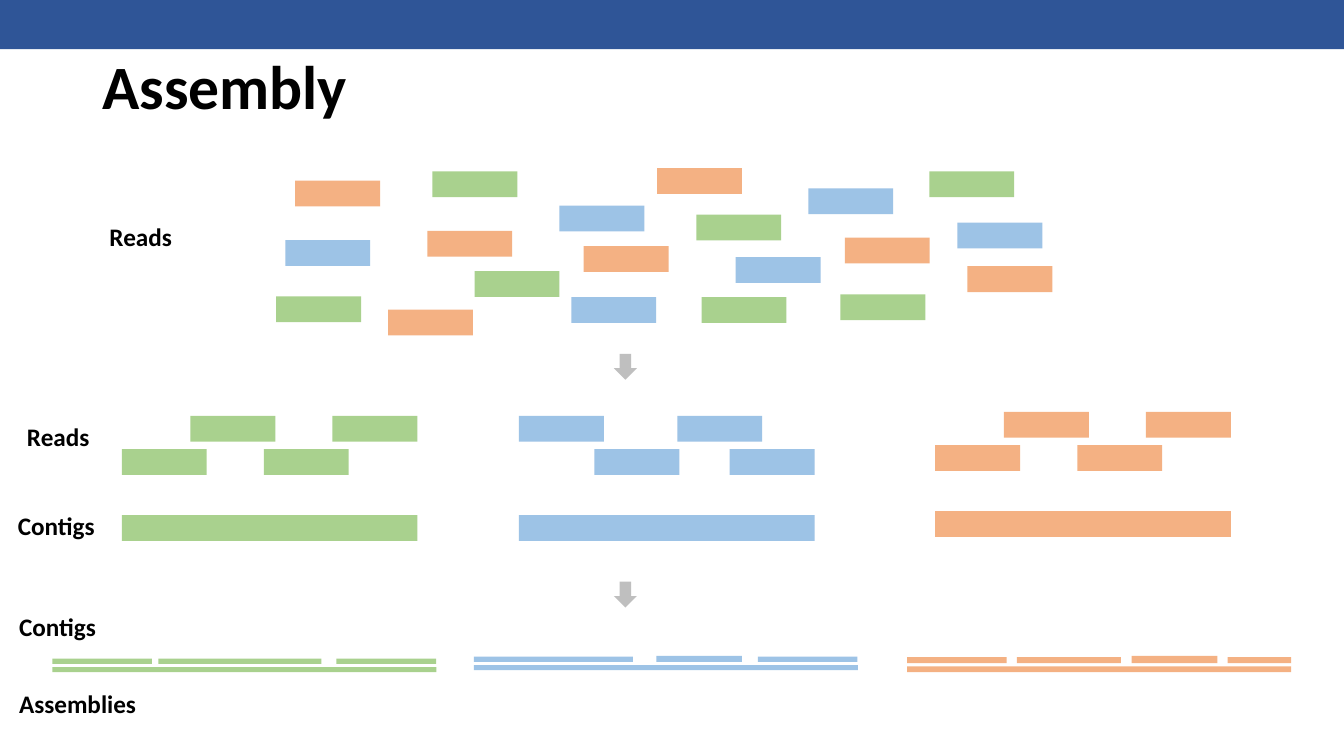
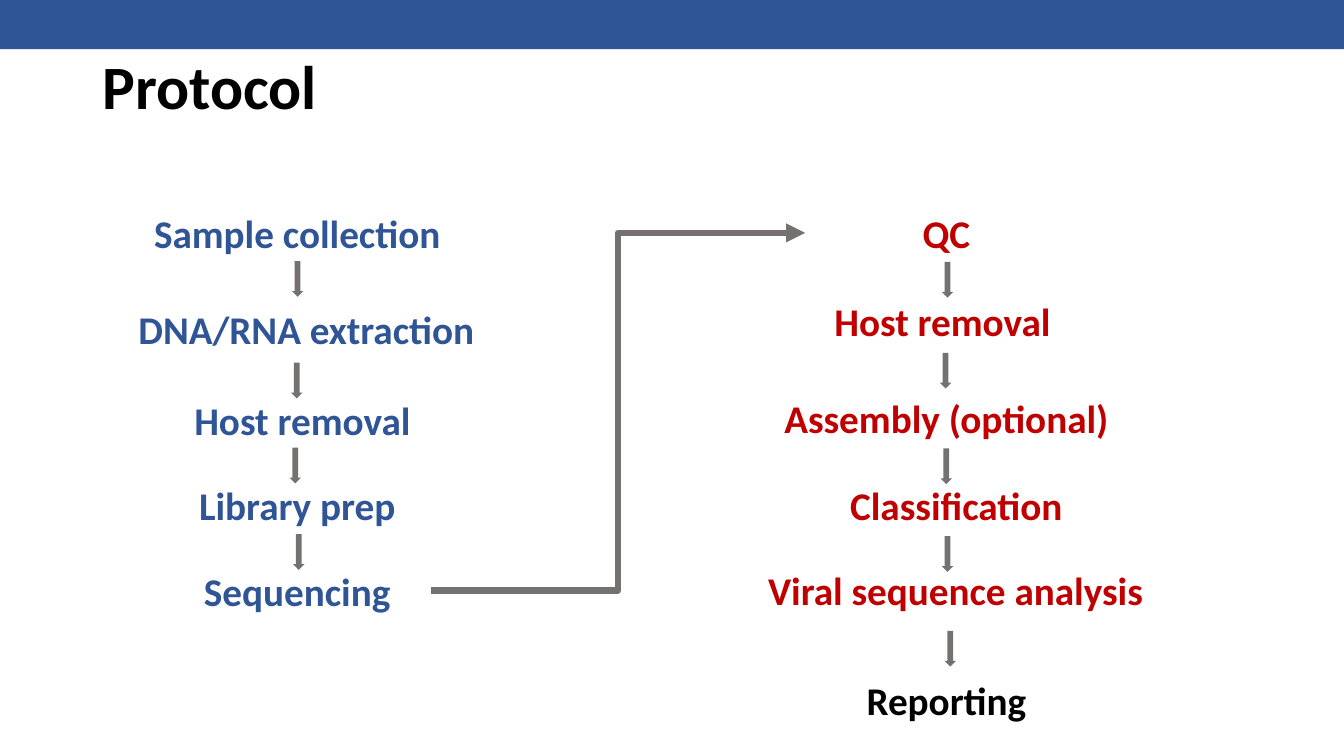
from pptx import Presentation
from pptx.dml.color import RGBColor
from pptx.enum.shapes import MSO_CONNECTOR, MSO_SHAPE
from pptx.enum.text import MSO_ANCHOR, PP_ALIGN
from pptx.oxml.ns import qn
from pptx.util import Cm, Pt
from lxml import etree

RECT, DOWN = MSO_SHAPE.RECTANGLE, MSO_SHAPE.DOWN_ARROW
ELBOW = MSO_CONNECTOR.ELBOW
LEFT, CENTER = PP_ALIGN.LEFT, PP_ALIGN.CENTER
TOP, MIDDLE = MSO_ANCHOR.TOP, MSO_ANCHOR.MIDDLE

# Shared style; all lengths are centimetres
FONT = "Calibri"
WIDE, HIGH = 33.87, 19.05
NAVY, RED, BLACK = "2F5597", "C00000", "000000"
ORANGE, BLUE, GREEN = "F4B183", "9DC3E6", "A9D18E"
SILVER, GRAY = "BFBFBF", "767171"

# Assembly: mixed reads as (left, top)
READ_W, READ_H = 2.14, 0.65
READS = {
    ORANGE: [(7.44, 4.55), (14.71, 6.2), (16.56, 4.24), (10.77, 5.82),
             (24.38, 6.71), (9.78, 7.8), (21.29, 5.99)],
    BLUE: [(7.19, 6.05), (14.1, 5.18), (18.54, 6.48), (20.37, 4.75),
           (24.13, 5.61), (14.4, 7.49)],
    GREEN: [(17.55, 5.41), (6.96, 7.47), (11.96, 6.83), (23.42, 4.32),
            (17.68, 7.49), (10.9, 4.32), (21.18, 7.42)],
}

# Sorted reads: colour, contig left and top, offsets of the reads above it
CONTIG_W = 7.45
UPPER, LOWER = -2.5, -1.66
STAIRS = [(0, LOWER), (1.73, UPPER), (3.58, LOWER), (5.31, UPPER)]
CONTIGS = [
    (GREEN, 3.07, 12.98, STAIRS),
    (ORANGE, 23.57, 12.88, STAIRS),
    (BLUE, 13.08, 12.98,
     [(0, UPPER), (1.9, LOWER), (3.99, UPPER), (5.31, LOWER)]),
]

# Assemblies: colour, left, top, height, contigs as (offset, width, height)
FULL_W, GAP = 9.68, 0.08
FULLS = [
    (GREEN, 1.32, 16.81, 0.13,
     [(0, 2.51, 0.13), (2.67, 4.11, 0.13), (7.16, 2.51, 0.13)]),
    (BLUE, 11.94, 16.76, 0.13,
     [(0, 4.01, 0.13), (4.6, 2.16, 0.15), (7.16, 2.51, 0.13)]),
    (ORANGE, 22.86, 16.79, 0.15,
     [(0, 2.51, 0.15), (2.77, 2.62, 0.15), (5.66, 2.16, 0.18),
      (8.08, 1.6, 0.15)]),
]
LABELS = [("Reads", 2.51, 5.44), ("Reads", 0.43, 10.49),
          ("Contigs", 0.2, 12.73), ("Contigs", 0.23, 15.27),
          ("Assemblies", 0.23, 17.22)]
STAGES = [8.92, 14.66]

# Protocol: steps as (text, centre, top, colour), arrows as (centre, top)
STEP_W, STEP_H = 10.87, 1.45
STEPS = [
    ("Sample collection", 7.49, 5.16, NAVY),
    ("DNA/RNA extraction", 7.72, 7.57, NAVY),
    ("Host removal", 7.62, 9.86, NAVY),
    ("Library prep", 7.49, 12.01, NAVY),
    ("Sequencing", 7.49, 14.17, NAVY),
    ("QC", 23.85, 5.16, RED),
    ("Host removal", 23.75, 7.37, RED),
    ("Assembly (optional)", 23.85, 9.8, RED),
    ("Classification", 24.1, 12.01, RED),
    ("Viral sequence analysis", 24.08, 14.15, RED),
    ("Reporting", 23.85, 16.92, BLACK),
]
ARROW_W, ARROW_H = 0.29, 0.9
ARROWS = [(7.5, 6.58), (7.48, 9.14), (7.44, 11.28), (7.53, 13.46),
          (23.88, 6.6), (23.83, 8.89), (23.85, 11.3), (23.88, 13.51),
          (23.95, 15.9)]
BEND = (10.85, 14.88, 20.29, 5.87)


def paint(code):
    return RGBColor.from_string(code)


def block(slide, x, y, w, h, color, kind=RECT):
    shape = slide.shapes.add_shape(kind, Cm(x), Cm(y), Cm(w), Cm(h))
    shape.shadow.inherit = False
    shape.fill.solid()
    shape.fill.fore_color.rgb = paint(color)
    shape.line.fill.background()


def write(slide, text, x, y, w, h, size, color=BLACK, align=LEFT, anchor=TOP):
    frame = slide.shapes.add_textbox(Cm(x), Cm(y), Cm(w), Cm(h)).text_frame
    frame.word_wrap = True
    frame.vertical_anchor = anchor
    para = frame.paragraphs[0]
    para.alignment = align
    run = para.add_run()
    run.text = text
    font = run.font
    font.name, font.size, font.bold = FONT, Pt(size), True
    font.color.rgb = paint(color)
    return para


def start(deck, title):
    slide = deck.slides.add_slide(deck.slide_layouts[6])
    block(slide, 0, 0, WIDE, 1.24, NAVY)
    para = write(slide, title, 2.33, 1.24, 29.21, 2.03, 44, anchor=MIDDLE)
    para.line_spacing = 0.9
    return slide


def link(slide, ends):
    line = slide.shapes.add_connector(ELBOW, *[Cm(v) for v in ends])
    line.line.color.rgb = paint(GRAY)
    line.line.width = Pt(4.5)
    props = line._element.spPr
    tail = etree.SubElement(props.find(qn("a:ln")), qn("a:tailEnd"))
    tail.set("type", "triangle")
    etree.SubElement(props, qn("a:effectLst"))


def assembly(deck):
    slide = start(deck, "Assembly")
    # Mixed reads
    for color, spots in READS.items():
        for x, y in spots:
            block(slide, x, y, READ_W, READ_H, color)
    # Sorted reads over their contig
    for color, x, y, reads in CONTIGS:
        block(slide, x, y, CONTIG_W, READ_H, color)
        for dx, dy in reads:
            block(slide, x + dx, y + dy, READ_W, READ_H, color)
    # Contigs over their assembly
    for color, x, y, h, parts in FULLS:
        block(slide, x, y, FULL_W, h, color)
        for dx, w, ph in parts:
            block(slide, x + dx, y - GAP - ph, w, ph, color)
    # Labels and stage arrows
    for text, x, y in LABELS:
        write(slide, text, x, y, 5.16, 1.03, 18)
    for y in STAGES:
        block(slide, 15.47, y, 0.58, 0.65, SILVER, DOWN)


def protocol(deck):
    slide = start(deck, "Protocol")
    for text, mid, y, color in STEPS:
        write(slide, text, mid - STEP_W / 2, y, STEP_W, STEP_H, 28, color,
              CENTER)
    for mid, y in ARROWS:
        block(slide, mid - ARROW_W / 2, y, ARROW_W, ARROW_H, GRAY, DOWN)
    link(slide, BEND)


def main():
    deck = Presentation()
    deck.slide_width, deck.slide_height = Cm(WIDE), Cm(HIGH)
    assembly(deck)
    protocol(deck)
    deck.save("out.pptx")


if __name__ == "__main__":
    main()
